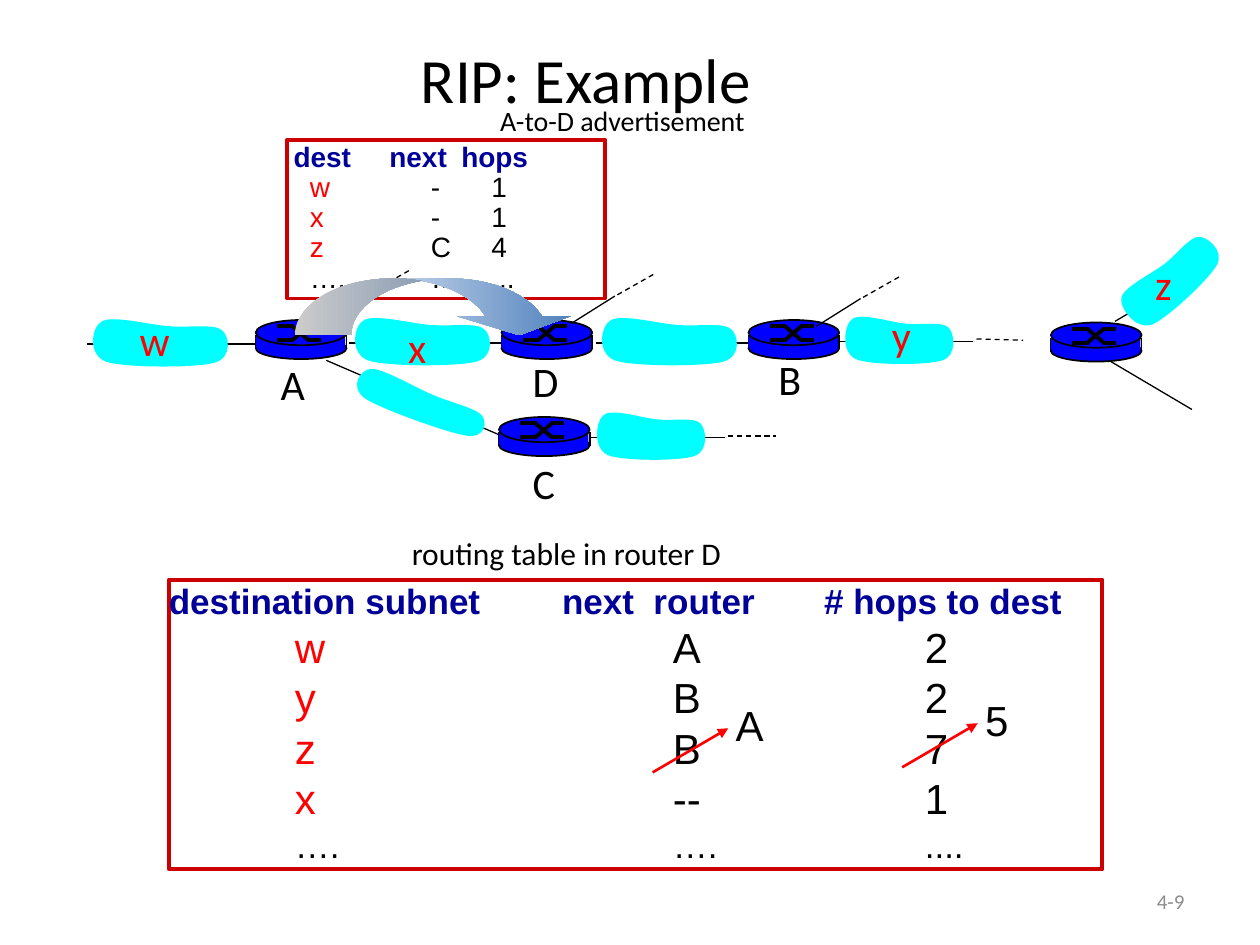
from pptx import Presentation
from pptx.dml.color import RGBColor
from pptx.enum.dml import MSO_LINE
from pptx.enum.shapes import MSO_CONNECTOR, MSO_SHAPE
from pptx.enum.text import MSO_ANCHOR, PP_ALIGN
from pptx.oxml.ns import qn
from pptx.util import Inches, Pt
from lxml import etree

STRAIGHT = MSO_CONNECTOR.STRAIGHT
RECTANGLE, ELLIPSE = MSO_SHAPE.RECTANGLE, MSO_SHAPE.OVAL
CURVED_ARROW = MSO_SHAPE.CURVED_DOWN_ARROW
DASH = MSO_LINE.DASH
TOP, MIDDLE = MSO_ANCHOR.TOP, MSO_ANCHOR.MIDDLE
LEFT, CENTER, RIGHT = PP_ALIGN.LEFT, PP_ALIGN.CENTER, PP_ALIGN.RIGHT

COLORS = {"black": "000000", "red": "FF0000", "frame": "CC0000", "navy": "000099",
          "router": "0000FF", "subnet": "00FFFF", "gray": "8C8C8C",
          "white": "FFFFFF", "arrow": "4F81BD"}

SUBNET_WIDTH, SUBNET_HEIGHT = 1.16, 0.42
SUBNET_CURVE = [(0.66, 0.09), (0.5, 0.08), (0.21, 0), (0.12, 0.05), (0.04, 0.09),
                (0, 0.31), (0.15, 0.37), (0.29, 0.42), (0.86, 0.42), (1.01, 0.38),
                (1.16, 0.34), (1.13, 0.16), (1.07, 0.12), (1.01, 0.07), (0.82, 0.1),
                (0.66, 0.09)]


class Diagram:
    def __init__(self, slide):
        self.shapes = slide.shapes

    def color(self, name):
        return RGBColor.from_string(COLORS[name])

    def run(self, paragraph, text, size, color="black", font="Calibri", bold=False):
        run = paragraph.add_run()
        run.text = text
        run.font.size = Pt(size)
        run.font.name = font
        run.font.bold = bold
        run.font.color.rgb = self.color(color)

    def text(self, box, text, size, color="black", font="Calibri", align=LEFT, anchor=TOP):
        frame = self.shapes.add_textbox(*map(Inches, box)).text_frame
        frame.word_wrap = True
        frame.vertical_anchor = anchor
        frame.paragraphs[0].alignment = align
        self.run(frame.paragraphs[0], text, size, color, font)

    def shape(self, kind, box, fill=None, line=None, width=1):
        shape = self.shapes.add_shape(kind, *map(Inches, box))
        self.paint(shape, fill, line, width)
        return shape

    def paint(self, shape, fill, line=None, width=1):
        shape.shadow.inherit = False
        if fill:
            shape.fill.solid()
            shape.fill.fore_color.rgb = self.color(fill)
        else:
            shape.fill.background()
        if line:
            shape.line.color.rgb = self.color(line)
            shape.line.width = Pt(width)
        else:
            shape.line.fill.background()

    def line(self, ends, width=0.75, color="black", dash=None, arrow=False):
        connector = self.shapes.add_connector(STRAIGHT, *map(Inches, ends))
        connector.line.color.rgb = self.color(color)
        connector.line.width = Pt(width)
        if dash:
            connector.line.dash_style = dash
        if arrow:
            etree.SubElement(connector.line._get_or_add_ln(), qn("a:tailEnd"), type="triangle")
        etree.SubElement(connector._element.spPr, qn("a:effectLst"))

    def subnet(self, left, top, width=SUBNET_WIDTH, height=SUBNET_HEIGHT, rotation=0):
        points = [(Inches(left + x * width / SUBNET_WIDTH),
                   Inches(top + y * height / SUBNET_HEIGHT)) for x, y in SUBNET_CURVE]
        builder = self.shapes.build_freeform(*points[0])
        builder.add_line_segments(points[1:])
        shape = builder.convert_to_shape()
        segments = list(shape._element.iter(qn("a:lnTo")))
        for start in range(0, len(segments), 3):
            curve = etree.Element(qn("a:cubicBezTo"))
            segments[start].addprevious(curve)
            for segment in segments[start:start + 3]:
                curve.append(segment[0])
                segment.getparent().remove(segment)
        shape.rotation = rotation
        self.paint(shape, "subnet")

    def router(self, left, top):
        self.shape(ELLIPSE, (left, top + 0.14, 0.72, 0.17), "router", "black")
        for x in (left, left + 0.72):
            self.line((x, top + 0.12, x, top + 0.23), 1)
        self.shape(RECTANGLE, (left, top + 0.12, 0.71, 0.1), "router")
        self.shape(ELLIPSE, (left, top, 0.72, 0.2), "router", "black")
        for start, end in ((0.05, 0.16), (0.16, 0.05)):
            for x1, y1, x2, y2 in ((0.17, start, 0.3, start), (0.29, start, 0.42, end),
                                   (0.41, end, 0.52, end)):
                self.line((left + x1, top + y1, left + x2, top + y2), 2.25)

    def routes(self, box, header, rows, sizes, header_tabs, row_tabs, row_spacing):
        frame = self.shape(RECTANGLE, box, line="frame", width=2.25).text_frame
        frame.margin_left = frame.margin_right = frame.margin_top = frame.margin_bottom = 0
        frame.vertical_anchor = TOP
        frame.word_wrap = True
        for index, (first, second, third) in enumerate([header] + rows):
            paragraph = frame.paragraphs[0] if index == 0 else frame.add_paragraph()
            paragraph.alignment = LEFT
            paragraph.line_spacing = row_spacing if index else 1.0
            indent, tab_size, second_tabs, third_tabs = row_tabs if index else header_tabs
            properties = paragraph._p.get_or_add_pPr()
            properties.set("marL", str(Inches(indent)))
            properties.set("indent", "0")
            properties.set("defTabSz", str(Inches(tab_size)))
            rest = "\t" * second_tabs + second + "\t" * third_tabs + third
            last = index == len(rows)
            size = sizes[1] if 0 < index < len(rows) else sizes[0]
            if index == 0:
                self.run(paragraph, first + rest, size, "navy", "Arial", True)
            else:
                self.run(paragraph, first, size, "black" if last else "red", "Arial")
                self.run(paragraph, rest, size, "black", "Arial")

    def curved_arrow(self, box, adjustments):
        shape = self.shape(CURVED_ARROW, box)
        for index, value in enumerate(adjustments):
            shape.adjustments[index] = value
        shape.fill.gradient()
        shape.fill.gradient_angle = 0
        for stop, name in zip(shape.fill.gradient_stops, ("white", "arrow")):
            stop.color.rgb = self.color(name)


def main():
    presentation = Presentation()
    presentation.slide_width, presentation.slide_height = Inches(10), Inches(7.5)
    diagram = Diagram(presentation.slides.add_slide(presentation.slide_layouts[6]))

    diagram.text((7.17, 6.95, 2.33, 0.4), "4-9", 12, "gray", align=RIGHT, anchor=MIDDLE)
    diagram.text((0.4, 0, 8.5, 1.25), "RIP: Example", 36, align=CENTER, anchor=MIDDLE)
    diagram.routes((1.34, 4.6, 7.41, 2.3),
                   ["destination subnet", "next  router", "# hops to dest"],
                   [["w", "A", "2"], ["y", "B", "2"], ["z", "B", "7"], ["x", "--", "1"],
                    ["….", "….", "...."]],
                   (20, 24), (0, 1.04, 1, 1), (1, 1, 3, 2), 1.0)
    diagram.text((3.17, 4.19, 3.07, 0.4), "routing table in router D", 18)

    for left, y in ((0.69, 2.73), (2.77, 2.72), (4.73, 2.72)):
        diagram.line((left, y, left + 1.36, y), 1)
    for ends in ((6.65, 2.71, 7.72, 2.71), (4.68, 3.47, 5.75, 3.47), (8.85, 2.55, 9.51, 2.16),
                 (8.8, 2.86, 9.46, 3.25), (2.59, 2.86, 3.96, 3.45)):
        diagram.line(ends)
    for ends in ((7.75, 2.69, 8.12, 2.7), (5.78, 3.46, 6.16, 3.46)):
        diagram.line(ends, dash=DASH)

    for position in ((3.98, 2.54), (3.96, 3.31), (5.94, 2.54), (8.34, 2.56), (2.03, 2.54)):
        diagram.router(*position)
    for x, y in ((2.59, 2.54), (4.53, 2.57), (6.48, 2.59)):
        diagram.line((x, y, x + 0.35, y - 0.22))
        diagram.line((x + 0.37, y - 0.23, x + 0.67, y - 0.4), dash=DASH)

    for subnet in ((0.69, 2.5), (2.77, 2.49), (4.73, 2.49), (6.67, 2.48, 0.93),
                   (4.7, 3.24, 0.93), (2.76, 3.04, 1.16, 0.31, 19.7),
                   (8.81, 2.01, 0.95, 0.42, 316.8)):
        diagram.subnet(*subnet)

    for label, left, top in (("w", 1.01, 2.45), ("x", 3.14, 2.5), ("y", 6.98, 2.41),
                             ("z", 9.07, 2)):
        diagram.text((left, top, 0.43, 0.5), label, 24, "red")
    for label, left, top in (("A", 2.13, 2.8), ("C", 4.13, 3.58), ("D", 4.13, 2.77),
                             ("B", 6.08, 2.76)):
        diagram.text((left, top, 0.44, 0.5), label, 24)

    for label, left, top in (("A", 5.18, 5.78), ("5", 7.16, 5.74)):
        diagram.line((left, top + 0.35, left + 0.6, top), 1.5, "red", arrow=True)
        diagram.text((left + 0.56, top - 0.28, 0.42, 0.5), label, 24, font="Arial")

    diagram.routes((2.28, 1.11, 2.52, 1.26), ["dest", "next", "hops"],
                   [["w", "-", "1"], ["x", "-", "1"], ["z", "C", "4"], ["….", "…", "..."]],
                   (16, 16), (0.05, 0.19, 2, 1), (0.18, 0.48, 2, 1), 0.9)
    diagram.text((3.87, 0.77, 2.49, 0.37), "A-to-D advertisement", 16)
    diagram.curved_arrow((2.34, 2.21, 2.23, 0.45), (0.996, 1.992, 0.333))
    presentation.save("out.pptx")


if __name__ == "__main__":
    main()
